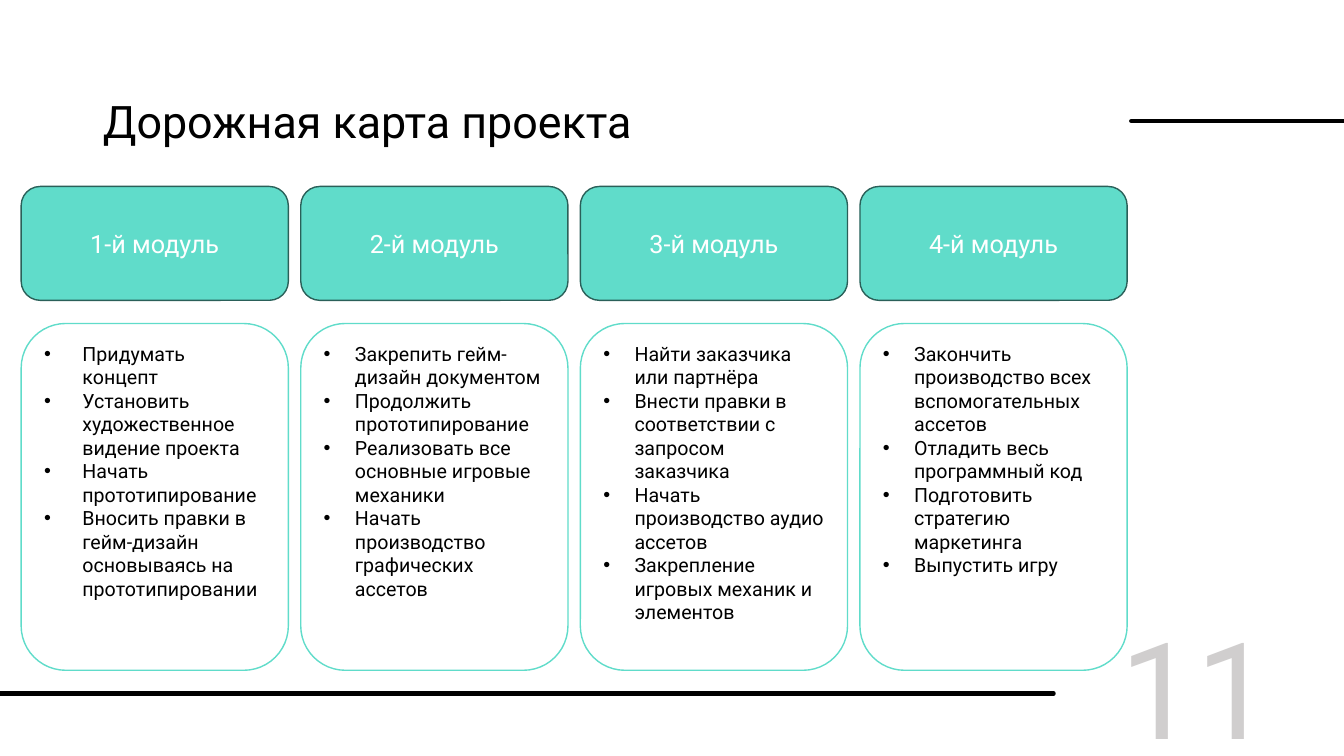
from pptx import Presentation
from pptx.dml.color import RGBColor
from pptx.enum.shapes import MSO_CONNECTOR, MSO_SHAPE
from pptx.enum.text import MSO_ANCHOR, MSO_AUTO_SIZE, PP_ALIGN
from pptx.oxml.ns import qn
from pptx.util import Inches, Pt
from lxml.etree import SubElement

TITLE = "Дорожная карта проекта"
PAGE_NUMBER = "11"
MODULES = [
    ("1-й модуль", 0.38, [
        "Придумать концепт",
        "Установить художественное видение проекта",
        "Начать прототипирование",
        "Вносить правки в гейм-дизайн основываясь на прототипировании",
    ]),
    ("2-й модуль", 0.31, [
        "Закрепить гейм-дизайн документом",
        "Продолжить прототипирование",
        "Реализовать все основные игровые механики",
        "Начать производство графических ассетов",
    ]),
    ("3-й модуль", 0.31, [
        "Найти заказчика или партнёра",
        "Внести правки в соответствии с запросом заказчика",
        "Начать производство аудио ассетов",
        "Закрепление игровых механик и элементов",
    ]),
    ("4-й модуль", 0.31, [
        "Закончить производство всех вспомогательных ассетов",
        "Отладить весь программный код",
        "Подготовить стратегию маркетинга",
        "Выпустить игру",
    ]),
]
RULES = [(-0.06, 10.45, 6.88), (11.22, 13.39, 1.2)]

FONT = "Roboto"
BLACK, WHITE, GRAY = "000000", "FFFFFF", "D0CECE"
TEAL, DARK_TEAL = "60DCCA", "2A6059"
LEFT, STEP, CARD_WIDTH = 0.21, 2.773, 2.65
HEADER_TOP, HEADER_HEIGHT = 1.85, 1.13
TASKS_TOP, TASKS_HEIGHT = 3.21, 3.44


def paint(color_format, color):
    color_format.rgb = RGBColor.from_string(color)


def add_text(paragraph, text, size, color):
    run = paragraph.add_run()
    run.text = text
    run.font.name = FONT
    run.font.size = Pt(size)
    paint(run.font.color, color)


def add_bullet(paragraph, indent):
    properties = paragraph._p.get_or_add_pPr()
    properties.set("marL", str(Inches(indent)))
    properties.set("indent", str(-Inches(indent)))
    SubElement(properties, qn("a:buFont")).set("typeface", "Arial")
    SubElement(properties, qn("a:buChar")).set("char", "•")


def add_card(slide, left, top, height, fill, outline, anchor):
    card = slide.shapes.add_shape(
        MSO_SHAPE.ROUNDED_RECTANGLE,
        Inches(left), Inches(top), Inches(CARD_WIDTH), Inches(height))
    card.shadow.inherit = False
    card.fill.solid()
    paint(card.fill.fore_color, fill)
    paint(card.line.color, outline)
    card.line.width = Pt(1)
    card.text_frame.word_wrap = True
    card.text_frame.vertical_anchor = anchor
    return card.text_frame


def add_rule(slide, start, end, y):
    rule = slide.shapes.add_connector(
        MSO_CONNECTOR.STRAIGHT, Inches(start), Inches(y), Inches(end), Inches(y))
    paint(rule.line.color, BLACK)
    rule.line.width = Pt(3)
    rule.line._get_or_add_ln().set("cap", "rnd")
    SubElement(rule._element.spPr, qn("a:effectLst"))


def add_page_number(slide):
    frame = slide.shapes.add_textbox(
        Inches(11.02), Inches(6.23), Inches(1.96), Inches(1.15)).text_frame
    frame.word_wrap = True
    frame.vertical_anchor = MSO_ANCHOR.MIDDLE
    add_text(frame.paragraphs[0], PAGE_NUMBER, 96, GRAY)


def format_title(title):
    title.left, title.top = Inches(0.92), Inches(0.61)
    title.width, title.height = Inches(9.71), Inches(1.24)
    frame = title.text_frame
    frame.word_wrap = True
    frame.auto_size = MSO_AUTO_SIZE.NONE
    frame.vertical_anchor = MSO_ANCHOR.MIDDLE
    heading = frame.paragraphs[0]
    heading.alignment = PP_ALIGN.LEFT
    heading.line_spacing = 0.9
    add_text(heading, TITLE, 32, BLACK)


def add_module(slide, column, name, indent, tasks):
    left = LEFT + column * STEP
    header = add_card(slide, left, HEADER_TOP, HEADER_HEIGHT,
                      TEAL, DARK_TEAL, MSO_ANCHOR.MIDDLE)
    header.paragraphs[0].alignment = PP_ALIGN.CENTER
    add_text(header.paragraphs[0], name, 18, WHITE)

    body = add_card(slide, left, TASKS_TOP, TASKS_HEIGHT,
                    WHITE, TEAL, MSO_ANCHOR.TOP)
    for index, task in enumerate(tasks):
        paragraph = body.add_paragraph() if index else body.paragraphs[0]
        paragraph.alignment = PP_ALIGN.LEFT
        add_bullet(paragraph, indent)
        add_text(paragraph, task, 14, BLACK)


def main():
    deck = Presentation()
    deck.slide_width, deck.slide_height = Inches(13.33), Inches(7.5)
    slide = deck.slides.add_slide(deck.slide_layouts[5])
    for start, end, y in RULES:
        add_rule(slide, start, end, y)
    add_page_number(slide)
    format_title(slide.shapes.title)
    for column, (name, indent, tasks) in enumerate(MODULES):
        add_module(slide, column, name, indent, tasks)
    deck.save("out.pptx")


if __name__ == "__main__":
    main()
